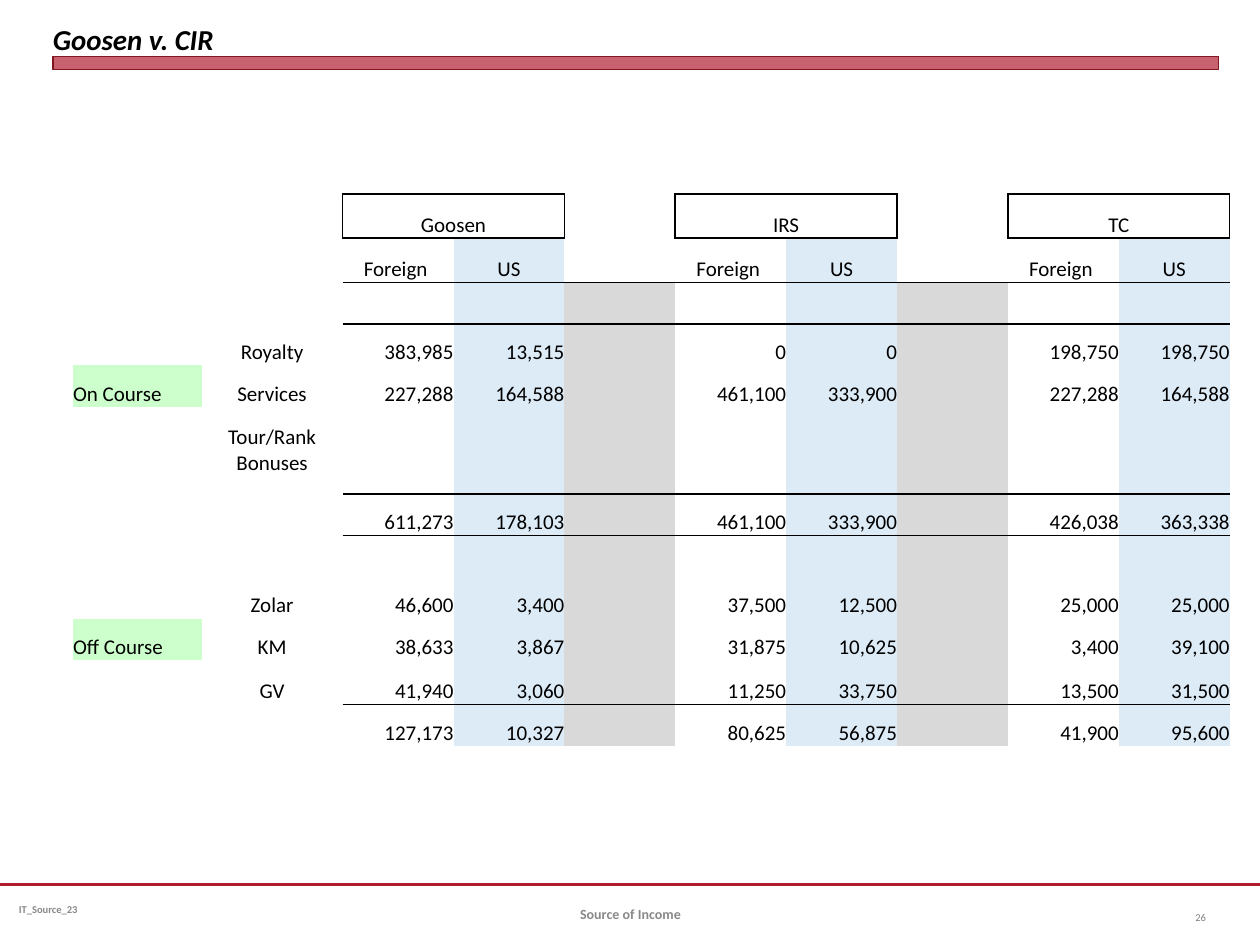
from pptx import Presentation
from pptx.util import Inches, Pt
from pptx.dml.color import RGBColor
from pptx.enum.shapes import MSO_CONNECTOR, MSO_SHAPE
from pptx.enum.text import MSO_ANCHOR, MSO_AUTO_SIZE, PP_ALIGN
from pptx.oxml.ns import qn
from lxml.etree import SubElement

WIDTHS = [1.02, 1.12] + [0.88] * 8
HEIGHTS = [0.35, 0.35, 0.33, 0.33, 0.33, 0.69] + [0.33] * 4 + [0.35, 0.33]
HEADS = ["Goosen", "IRS", "TC"]
FIELDS = [2, 3, 5, 6, 8, 9]
BLUE = [3, 6, 9]
GRAY = [4, 7]
RULED = [1, 5, 10]
NO_GRID = "{2D5ABB26-0587-4C30-8999-92F81FD0307C}"
ROWS = [
    ("", "", ""),
    ("", "", "Foreign |US|Foreign |US|Foreign |US"),
    ("", "", ""),
    ("", "Royalty", "383,985|13,515|0|0|198,750|198,750"),
    ("On Course", "Services", "227,288|164,588|461,100|333,900|227,288|164,588"),
    ("", "Tour/Rank Bonuses", ""),
    ("", "", "611,273|178,103|461,100|333,900|426,038|363,338"),
    ("", "", ""),
    ("", "Zolar", "46,600|3,400|37,500|12,500|25,000|25,000"),
    ("Off Course", "KM", "38,633|3,867|31,875|10,625|3,400|39,100"),
    ("", "GV", "41,940|3,060|11,250|33,750|13,500|31,500"),
    ("", "", "127,173|10,327|80,625|56,875|41,900|95,600"),
]


def color(code):
    return RGBColor.from_string(code)


def style(para, size, code, align=PP_ALIGN.LEFT, bold=False, italic=False):
    para.alignment = align
    font = para.font
    font.name = "Calibri"
    font.size = Pt(size)
    font.bold = bold
    font.italic = italic
    font.color.rgb = color(code)


def add_title(slide, text):
    title = slide.shapes.title
    title.left, title.top = Inches(0.42), Inches(0.05)
    title.width, title.height = Inches(9.25), Inches(0.4)
    frame = title.text_frame
    frame.text = text
    frame.auto_size = MSO_AUTO_SIZE.NONE
    frame.vertical_anchor = MSO_ANCHOR.BOTTOM
    frame.margin_left = frame.margin_right = 0
    frame.margin_top = frame.margin_bottom = 0
    style(frame.paragraphs[0], 16.5, "000000", bold=True, italic=True)


def add_text(slide, text, box, size, code, align, bold):
    frame = slide.shapes.add_textbox(*map(Inches, box)).text_frame
    frame.word_wrap = True
    frame.vertical_anchor = MSO_ANCHOR.MIDDLE
    frame.text = text
    style(frame.paragraphs[0], size, code, align, bold)
    return frame


def add_bar(slide):
    bar = slide.shapes.add_shape(
        MSO_SHAPE.RECTANGLE, Inches(0.42), Inches(0.45), Inches(9.25), Inches(0.1))
    bar.shadow.inherit = False
    bar.fill.solid()
    bar.fill.fore_color.rgb = color("B01C2E")
    tint = next(bar.element.spPr.iter(qn("a:srgbClr")))
    SubElement(tint, qn("a:alpha"), val="69000")
    bar.line.color.rgb = color("821522")
    bar.line.width = Pt(0)


def add_rule(slide):
    rule = slide.shapes.add_connector(
        MSO_CONNECTOR.STRAIGHT, 0, Inches(7.02), Inches(10), Inches(7.02))
    rule.line.color.rgb = color("B01C2E")
    rule.line.width = Pt(1.25)
    SubElement(rule.element.spPr, qn("a:effectLst"))


def get_edges(row, col):
    if col < 2:
        return ""
    if row == 0:
        return "" if col in GRAY else "LRTB"
    top = row - 1 in RULED or (row == 1 and col not in GRAY)
    return "T" * top + "B" * (row in RULED)


def get_fill(row, col):
    if col == 0 and ROWS[row][0]:
        return "CCFFCC"
    if col in BLUE and row > 0:
        return "DDEBF7"
    if col in GRAY and row > 1:
        return "D9D9D9"
    return None


def get_align(row, col):
    if col == 0:
        return PP_ALIGN.LEFT
    return PP_ALIGN.CENTER if col == 1 or row < 2 else PP_ALIGN.RIGHT


def set_cell(cell, row, col, text):
    cell.margin_left = cell.margin_right = 0
    cell.margin_top = cell.margin_bottom = 0
    middle = text and row == 5
    cell.vertical_anchor = MSO_ANCHOR.MIDDLE if middle else MSO_ANCHOR.BOTTOM
    cell.text = text
    style(cell.text_frame.paragraphs[0], 12, "000000", get_align(row, col))
    props = cell._tc.get_or_add_tcPr()
    for edge in get_edges(row, col):
        line = SubElement(props, qn("a:ln" + edge), w=str(Pt(1)))
        SubElement(SubElement(line, qn("a:solidFill")), qn("a:srgbClr"), val="000000")
    code = get_fill(row, col)
    if code:
        cell.fill.solid()
        cell.fill.fore_color.rgb = color(code)
    else:
        cell.fill.background()


def add_grid(slide):
    frame = slide.shapes.add_table(
        len(HEIGHTS), len(WIDTHS), Inches(0.58), Inches(1.54),
        Inches(sum(WIDTHS)), Inches(sum(HEIGHTS)))
    next(frame.element.iter(qn("a:tableStyleId"))).text = NO_GRID
    table = frame.table
    table.first_row = table.horz_banding = False
    for col, width in zip(table.columns, WIDTHS):
        col.width = Inches(width)
    for row, height in zip(table.rows, HEIGHTS):
        row.height = Inches(height)
    for row, (group, label, values) in enumerate(ROWS):
        texts = {0: group, 1: label}
        texts.update(zip(FIELDS, values.split("|")))
        if row == 0:
            texts.update(zip(FIELDS[::2], HEADS))
        for col in range(len(WIDTHS)):
            set_cell(table.cell(row, col), row, col, texts.get(col, ""))
    for col in FIELDS[::2]:
        table.cell(0, col).merge(table.cell(0, col + 1))


def main():
    deck = Presentation()
    deck.slide_width, deck.slide_height = Inches(10), Inches(7.5)
    slide = deck.slides.add_slide(deck.slide_layouts[5])
    add_rule(slide)
    code = add_text(slide, "IT_Source_23", (0.08, 7.02, 2.58, 0.4),
                    6, "898989", PP_ALIGN.LEFT, True)
    code.margin_left = code.margin_right = Inches(0.07)
    add_bar(slide)
    add_grid(slide)
    add_title(slide, "Goosen v. CIR")
    add_text(slide, "26", (9.17, 7.08, 0.5, 0.4),
             6, "808080", PP_ALIGN.RIGHT, False)
    add_text(slide, "Source of Income", (3.42, 7.05, 3.17, 0.4),
             8, "898989", PP_ALIGN.CENTER, True)
    deck.save("out.pptx")


if __name__ == "__main__":
    main()
